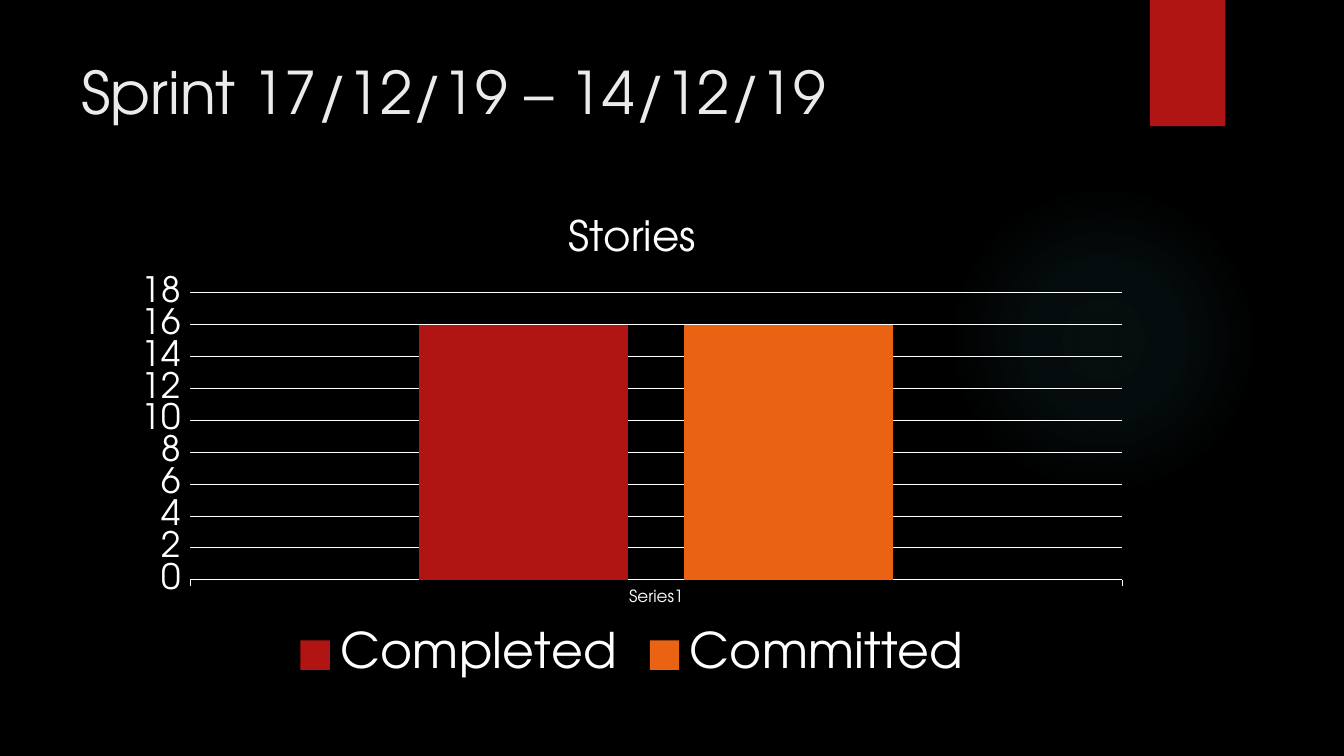
from lxml import etree
from pptx import Presentation
from pptx.chart.data import CategoryChartData
from pptx.dml.color import RGBColor
from pptx.enum.chart import XL_CHART_TYPE, XL_LEGEND_POSITION, XL_TICK_MARK
from pptx.enum.shapes import MSO_SHAPE
from pptx.oxml import parse_xml
from pptx.oxml.ns import nsdecls, qn
from pptx.util import Cm, Pt

COLUMNS = XL_CHART_TYPE.COLUMN_CLUSTERED
BOTTOM = XL_LEGEND_POSITION.BOTTOM
OUTSIDE = XL_TICK_MARK.OUTSIDE
OVAL, RECTANGLE = MSO_SHAPE.OVAL, MSO_SHAPE.RECTANGLE

FONT = "TeX Gyre Adventor"
WHITE, RED, ORANGE, TEAL = "FFFFFF", "B01513", "EA6312", "50B9C1"


def rgb(hex_color):
    return RGBColor.from_string(hex_color)


def place(element, index, **fractions):
    """Give a chart part a fixed place, in fractions of the chart."""
    layout = element.find(qn("c:layout"))
    if layout is None:
        layout = etree.Element(qn("c:layout"))
        element.insert(index, layout)
    manual = etree.SubElement(layout, qn("c:manualLayout"))
    if "w" in fractions:
        etree.SubElement(manual, qn("c:layoutTarget")).set("val", "inner")
    for side in "xy":
        etree.SubElement(manual, qn(f"c:{side}Mode")).set("val", "edge")
    for key, value in fractions.items():
        etree.SubElement(manual, qn(f"c:{key}")).set("val", str(value))


presentation = Presentation()
presentation.slide_width, presentation.slide_height = Cm(33.87), Cm(19.05)
slide = presentation.slides.add_slide(presentation.slide_layouts[6])
slide.background.fill.solid()
slide.background.fill.fore_color.rgb = rgb("000000")

# Soft glow on the right
glow = slide.shapes.add_shape(OVAL, Cm(23.9), Cm(4.65), Cm(7.82), Cm(7.82))
glow.shadow.inherit = False
glow.line.fill.background()
stops = "".join(
    f'<a:gs pos="{position * 1000}"><a:srgbClr val="{TEAL}">'
    f'<a:alpha val="{alpha * 1000}"/></a:srgbClr></a:gs>'
    for position, alpha in [(0, 7), (36, 6), (69, 0)]
)
glow_fill = parse_xml(
    f'<a:gradFill {nsdecls("a")}><a:gsLst>{stops}</a:gsLst><a:path path="circle">'
    '<a:fillToRect l="50000" t="50000" r="50000" b="50000"/></a:path></a:gradFill>'
)
glow.element.spPr.find(qn("a:prstGeom")).addnext(glow_fill)

# Red tab at the top
tab = slide.shapes.add_shape(RECTANGLE, Cm(28.98), 0, Cm(1.9), Cm(3.18))
tab.shadow.inherit = False
tab.fill.solid()
tab.fill.fore_color.rgb = rgb(RED)
tab.line.fill.background()

# Heading
heading = slide.shapes.add_textbox(Cm(1.8), Cm(1.27), Cm(26.14), Cm(3.89))
heading.text_frame.word_wrap = True
heading.text_frame.text = "Sprint 17/12/19 – 14/12/19"
heading_font = heading.text_frame.paragraphs[0].runs[0].font
heading_font.name, heading_font.size = FONT, Pt(42)
heading_font.color.rgb = rgb("EBEBEB")

# Stories chart
stories = CategoryChartData()
stories.categories = ["Series1"]
stories.add_series("Completed", [16])
stories.add_series("Committed", [16])
chart = slide.shapes.add_chart(
    COLUMNS, Cm(3.07), Cm(4.72), Cm(25.73), Cm(12.62), stories
).chart
columns = chart.plots[0]
columns.gap_width, columns.overlap = 219, -27
columns.vary_by_categories = False
for series, color in zip(columns.series, [RED, ORANGE]):
    series.format.fill.solid()
    series.format.fill.fore_color.rgb = rgb(color)

# Axes
category_axis, value_axis = chart.category_axis, chart.value_axis
value_axis.minimum_scale, value_axis.maximum_scale = 0, 18
value_axis.major_unit = 2
value_axis.has_major_gridlines = True
for axis in (category_axis, value_axis):
    axis.major_tick_mark = OUTSIDE
for line in (category_axis.format.line, value_axis.major_gridlines.format.line):
    line.color.rgb = rgb(WHITE)
    line.width = Pt(0.75)
value_axis.format.line.fill.background()

# Chart title, legend and fonts
chart.has_title = True
chart.chart_title.text_frame.text = "Stories"
chart.has_legend = True
chart.legend.position = BOTTOM
chart.legend.include_in_layout = False
title_font = chart.chart_title.text_frame.paragraphs[0].runs[0].font
title_font.bold = False
for font, size in [
    (chart.font, 10),
    (title_font, 30),
    (category_axis.tick_labels.font, 12),
    (value_axis.tick_labels.font, 25),
    (chart.legend.font, 35),
]:
    font.name, font.size = FONT, Pt(size)
    font.color.rgb = rgb(WHITE)

place(chart.chart_title.element, 1, x=0.43, y=0.04)
plot_area = next(chart.element.iter(qn("c:plotArea")))
place(plot_area, 0, x=0.067, y=0.211, w=0.913, h=0.573)

presentation.save("out.pptx")
